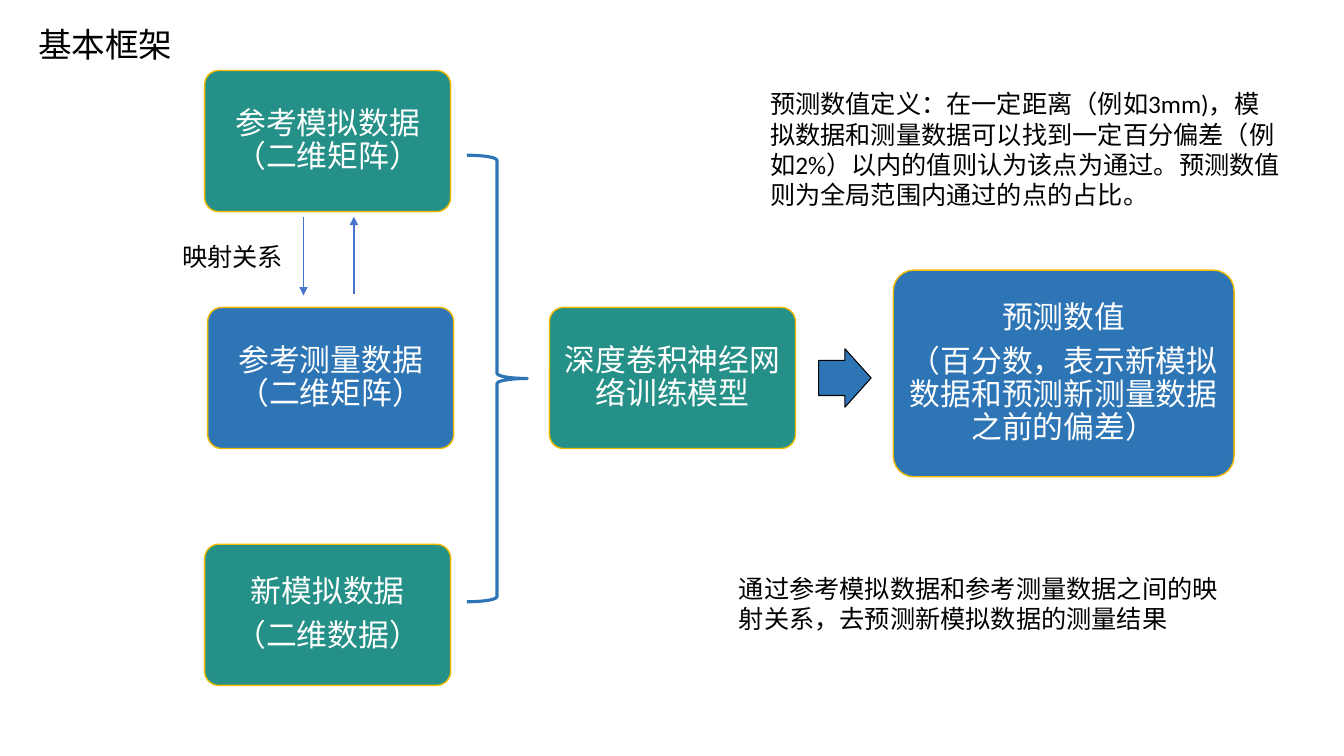
from pptx import Presentation
from pptx.dml.color import RGBColor
from pptx.enum.shapes import MSO_CONNECTOR, MSO_SHAPE
from pptx.enum.text import MSO_ANCHOR, PP_ALIGN
from pptx.oxml.ns import qn
from pptx.util import Inches, Pt
from lxml import etree

ROUND, ARROW, BRACE = (
    MSO_SHAPE.ROUNDED_RECTANGLE, MSO_SHAPE.RIGHT_ARROW, MSO_SHAPE.RIGHT_BRACE)
STRAIGHT = MSO_CONNECTOR.STRAIGHT
MIDDLE, CENTER = MSO_ANCHOR.MIDDLE, PP_ALIGN.CENTER

GREEN = RGBColor(0x24, 0x90, 0x87)
BLUE = RGBColor(0x2E, 0x75, 0xB6)
GOLD = RGBColor(0xF2, 0xBA, 0x02)
INDIGO = RGBColor(0x48, 0x74, 0xCB)
BLACK = RGBColor(0, 0, 0)
WHITE = RGBColor(0xFF, 0xFF, 0xFF)
LATIN, HAN = "Calibri", "Noto Sans CJK SC"

SMALL, LARGE = (2.44, 1.4), (3.38, 2.05)
BOXES = [
    (2.03, 0.7, SMALL, GREEN, ["参考模拟数据（二维矩阵）"]),
    (2.06, 3.05, SMALL, BLUE, ["参考测量数据（二维矩阵）"]),
    (2.03, 5.4, SMALL, GREEN, ["新模拟数据", "（二维数据）"]),
    (5.45, 3.05, SMALL, GREEN, ["深度卷积神经网络训练模型"]),
    (8.86, 2.68, LARGE, BLUE,
     ["预测数值", "（百分数，表示新模拟数据和预测新测量数据之前的偏差）"]),
]
NOTES = [
    (0.28, 0.19, 1.54, 0.5, 24, "基本框架"),
    (1.71, 2.34, 1.31, 0.4, 18, "映射关系"),
    (7.54, 0.83, 5.26, 1.31, 18,
     "预测数值定义：在一定距离（例如3mm)，模拟数据和测量数据可以找到一定百分偏差"
     "（例如2%）以内的值则认为该点为通过。预测数值则为全局范围内通过的点的占比。"),
    (7.23, 5.64, 5.13, 0.71, 18,
     "通过参考模拟数据和参考测量数据之间的映射关系，去预测新模拟数据的测量结果"),
]
LINKS = [(3.01, 2.15, 2.93), (3.51, 2.92, 2.15)]


def style(para, size, font, color):
    for run in para.runs:
        run.font.size = Pt(size)
        run.font.name = font
        run.font.color.rgb = color
        east = etree.SubElement(run.font._element, qn("a:ea"))
        east.set("typeface", HAN)


def add_form(slide, kind, area, fill, line, width):
    form = slide.shapes.add_shape(kind, *map(Inches, area))
    form.shadow.inherit = False
    if fill is None:
        form.fill.background()
    else:
        form.fill.solid()
        form.fill.fore_color.rgb = fill
    form.line.color.rgb = line
    form.line.width = Pt(width)
    return form


def add_box(slide, left, top, size, fill, lines):
    box = add_form(slide, ROUND, (left, top, *size), fill, GOLD, 1)
    box.adjustments[0] = 0.1
    frame = box.text_frame
    frame.word_wrap = True
    frame.vertical_anchor = MIDDLE
    frame.margin_left = frame.margin_right = Inches(0.09)
    frame.margin_top = frame.margin_bottom = Inches(0.09)
    frame.text = "\n".join(lines)
    for para in frame.paragraphs:
        para.alignment = CENTER
        para.line_spacing = 0.9
        para.space_after = Pt(7.7)
        style(para, 22, HAN, WHITE)


def add_note(slide, left, top, width, height, size, text):
    note = slide.shapes.add_textbox(*map(Inches, (left, top, width, height)))
    frame = note.text_frame
    frame.word_wrap = True
    frame.text = text
    style(frame.paragraphs[0], size, LATIN, BLACK)


def add_link(slide, x, start, end):
    link = slide.shapes.add_connector(
        STRAIGHT, Inches(x), Inches(start), Inches(x), Inches(end))
    link.line.color.rgb = INDIGO
    link.line.width = Pt(1)
    tail = etree.SubElement(link.line._get_or_add_ln(), qn("a:tailEnd"))
    tail.set("type", "triangle")
    etree.SubElement(link._element.spPr, qn("a:effectLst"))


def main():
    deck = Presentation()
    deck.slide_width, deck.slide_height = Inches(13.33), Inches(7.5)
    slide = deck.slides.add_slide(deck.slide_layouts[6])
    for box in BOXES:
        add_box(slide, *box)
    arrow = add_form(slide, ARROW, (8.12, 3.46, 0.52, 0.58), BLUE, BLACK, 0.75)
    arrow.adjustments[0] = 0.6
    add_form(slide, BRACE, (4.63, 1.54, 0.6, 4.43), None, BLUE, 2.25)
    for note in NOTES:
        add_note(slide, *note)
    for link in LINKS:
        add_link(slide, *link)
    deck.save("out.pptx")


if __name__ == "__main__":
    main()
